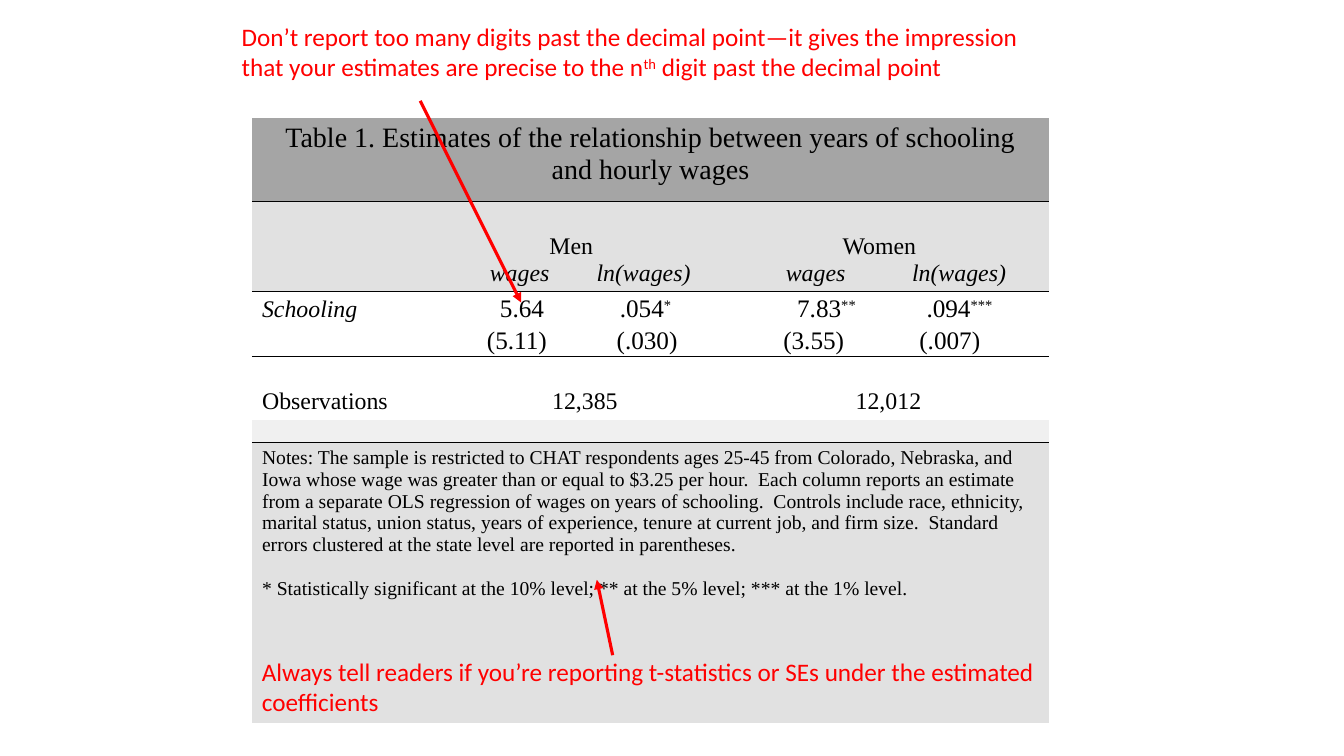
"""Build a slide with an annotated regression table."""
import pptx
import pptx.util
import pptx.dml.color
import pptx.enum.shapes
import pptx.enum.text
import pptx.oxml
import pptx.oxml.ns

Cm, Pt = pptx.util.Cm, pptx.util.Pt
ALIGN = pptx.enum.text.PP_ALIGN
ANCHOR = pptx.enum.text.MSO_ANCHOR

HUES = {"ink": "000000", "red": "FF0000", "dark": "A5A5A5",
        "mid": "E1E1E1", "pale": "F0F0F0"}
SERIF, SANS = "Times New Roman", "Calibri"

TITLE = "Table 1. Estimates of the relationship between years of schooling and hourly wages"
NOTES = ("Notes: The sample is restricted to CHAT respondents ages 25-45 from Colorado, "
         "Nebraska, and Iowa whose wage was greater than or equal to $3.25 per hour.  "
         "Each column reports an estimate from a separate OLS regression of wages on years "
         "of schooling.  Controls include race, ethnicity, marital status, union status, "
         "years of experience, tenure at current job, and firm size.  Standard errors "
         "clustered at the state level are reported in parentheses.")
LEVELS = "* Statistically significant at the 10% level; ** at the 5% level; *** at the 1% level."

PLACE = (6.35, 2.97)
COLS = [5.28, 5.77, 9.04]
ROWS = [(2.11, "dark", True), (2.26, "mid", True), (1.65, None, False),
        (1.6, None, False), (0.56, "pale", True), (7.06, "mid", False)]
SPANS = [(0, 0), (1, 1), (4, 0), (5, 0)]

BODY = {"size": Pt(17)}
SLANT = {"size": Pt(17), "italic": True}
DATA = {"size": Pt(18)}
SMALL = {"size": Pt(14)}
WIDE = {"line_spacing": 1.15}
SNUG = {"margin_left": Cm(0.18), "margin_right": Cm(0.18),
        "margin_top": 0, "margin_bottom": 0}
LOW = {"vertical_anchor": ANCHOR.BOTTOM}

CELLS = [
    (0, 0, {}, [([], [TITLE], {"size": Pt(20)}, {"alignment": ALIGN.CENTER})]),
    (1, 1, LOW, [([1.96, 9.35], ["Men", "Women"], BODY, {}),
                 ([0.46, 3.15, 7.92, 11.1],
                  ["wages", "ln(wages)", "wages", "ln(wages)"], SLANT, {})]),
    (2, 0, {}, [([], ["Schooling"], SLANT, {})]),
    (2, 1, SNUG, [([0.79, 3.81], ["5.64", ".054^*^"], DATA, WIDE),
                  ([0.46, 3.73], ["(5.11)", "(.030)"], DATA, WIDE)]),
    (2, 2, SNUG, [([2.51, 5.77], ["7.83^**^", ".094^***^"], DATA, WIDE),
                  ([2.16, 5.59], ["(3.55)", "(.007)"], DATA, WIDE)]),
    (3, 0, LOW, [([], ["Observations"], BODY, {})]),
    (3, 1, LOW, [([2.03], ["12,385"], BODY, {})]),
    (3, 2, LOW, [([3.91], ["12,012"], BODY, {})]),
    (5, 0, {}, [([], [NOTES], SMALL, {}),
                ([], [LEVELS], SMALL, {"space_before": Pt(16)})]),
]

TIPS = [
    ((6.35, 16.41), "Always tell readers if you’re reporting t-statistics or SEs "
                    "under the estimated coefficients"),
    ((5.84, 0.41), "Don’t report too many digits past the decimal point—it gives the "
                   "impression that your estimates are precise to the n^th^ digit past "
                   "the decimal point"),
]
TIP_SIZE = (20.62, 1.8)
ARROWS = [(10.59, 2.54, 13.13, 7.62), (15.44, 16.51, 15.04, 14.61)]


def apply(thing, props):
    for name, value in props.items():
        setattr(thing, name, value)


def color(name):
    return pptx.dml.color.RGBColor.from_string(HUES[name])


def element(xml):
    head, tail = xml.split(" ", 1)
    return pptx.oxml.parse_xml(f"{head} {pptx.oxml.ns.nsdecls('a')} {tail}")


def write(para, stops, parts, look, form, face, hue):
    if stops:
        tabs = "".join(f'<a:tab pos="{Cm(stop)}" algn="l"/>' for stop in stops)
        para._p.get_or_add_pPr().append(element(f"<a:tabLst >{tabs}</a:tabLst>"))
    apply(para, form)
    lead = "\t" if stops else ""
    text = "".join(lead + part for part in parts)
    for turn, piece in enumerate(text.split("^")):
        if piece:
            run = para.add_run()
            run.text = piece
            apply(run.font, {**look, "name": face})
            run.font.color.rgb = color(hue)
            if turn % 2:
                run._r.get_or_add_rPr().set("baseline", "30000")


def rule(cell, side):
    line = element(f'<a:{side} w="{Pt(1)}"><a:solidFill><a:srgbClr val="{HUES["ink"]}"/>'
                   f"</a:solidFill></a:{side}>")
    cell._tc.get_or_add_tcPr().insert(0, line)


def add_grid(slide):
    high = sum(row[0] for row in ROWS)
    frame = slide.shapes.add_table(len(ROWS), len(COLS), *map(Cm, PLACE),
                                   Cm(sum(COLS)), Cm(high))
    grid = frame.table
    apply(grid, {"first_row": False, "horz_banding": False})
    style = grid._tbl.tblPr.find(pptx.oxml.ns.qn("a:tableStyleId"))
    style.text = "{2D5ABB26-0587-4C30-8999-92F81FD0307C}"
    for col, width in zip(grid.columns, COLS):
        col.width = Cm(width)
    for at, (height, fill, lined) in enumerate(ROWS):
        grid.rows[at].height = Cm(height)
        for cell in grid.rows[at].cells:
            if fill:
                cell.fill.solid()
                cell.fill.fore_color.rgb = color(fill)
            else:
                cell.fill.background()
            if lined:
                rule(cell, "lnB")
            if at and ROWS[at - 1][2]:
                rule(cell, "lnT")
            end = cell.text_frame.paragraphs[0]._p.get_or_add_endParaRPr()
            end.set("sz", "700")
    for row, col in SPANS:
        grid.cell(row, col).merge(grid.cell(row, len(COLS) - 1))
    for row, col, props, paras in CELLS:
        cell = grid.cell(row, col)
        apply(cell, props)
        fill_text(cell.text_frame, paras, SERIF, "ink")


def fill_text(frame, paras, face, hue):
    for at, item in enumerate(paras):
        para = frame.add_paragraph() if at else frame.paragraphs[0]
        write(para, *item, face, hue)


def add_arrow(slide, ends):
    kind = pptx.enum.shapes.MSO_CONNECTOR.STRAIGHT
    arrow = slide.shapes.add_connector(kind, *map(Cm, ends))
    arrow.line.color.rgb = color("red")
    arrow.line.width = Pt(2.25)
    arrow.line._get_or_add_ln().append(element('<a:tailEnd type="triangle"/>'))
    arrow._element.spPr.append(element("<a:effectLst />"))


def add_tip(slide, place, text):
    box = slide.shapes.add_textbox(*map(Cm, place + TIP_SIZE))
    box.text_frame.word_wrap = True
    fill_text(box.text_frame, [([], [text], DATA, {})], SANS, "red")


def main():
    deck = pptx.Presentation()
    apply(deck, {"slide_width": Cm(33.87), "slide_height": Cm(19.05)})
    slide = deck.slides.add_slide(deck.slide_layouts[6])
    add_grid(slide)
    for ends, tip in zip(ARROWS, TIPS):
        add_arrow(slide, ends)
        add_tip(slide, *tip)
    deck.save("out.pptx")


if __name__ == "__main__":
    main()
